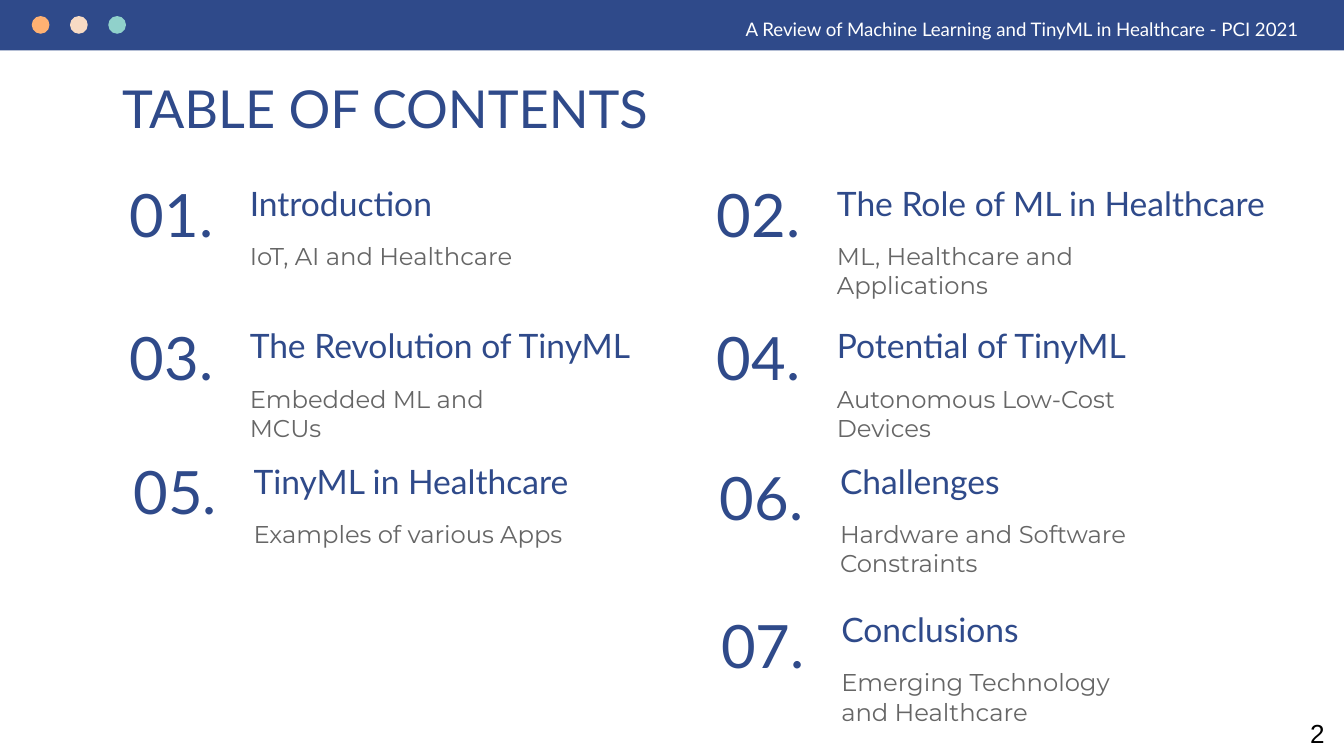
from pptx import Presentation
from pptx.dml.color import RGBColor
from pptx.enum.shapes import MSO_SHAPE
from pptx.enum.text import MSO_ANCHOR, PP_ALIGN
from pptx.util import Pt

NAVY, GREY, WHITE, BLACK = "2F4A8A", "666666", "FFFFFF", "000000"
TITLE = {"name": "Lato", "size": Pt(28), "color": NAVY}
NUMBER = {"name": "Lato", "size": Pt(32), "color": NAVY}
HEADING = {"name": "Lato", "size": Pt(18), "color": NAVY}
DETAIL = {"name": "Montserrat", "size": Pt(13), "color": GREY}
HEADER = {"name": "Lato", "size": Pt(10), "color": WHITE}
PAGE = {"name": "Arial", "size": Pt(14), "color": BLACK}
DOTS = ["FFB172", "F8DBC4", "90D1CB"]
ENTRIES = [
    (56.2, 90.7, 4.3, "Introduction", 210.2, "IoT, AI and Healthcare", 179.3),
    (370.8, 90.7, 4.3, "The Role of ML in Healthcare", 252.7, "ML, Healthcare and Applications", 179.3),
    (56.2, 167, 4.3, "The Revolution of TinyML", 222.5, "Embedded ML and MCUs", 179.3),
    (370.8, 167, 4.3, "Potential of TinyML", 214.6, "Autonomous Low-Cost Devices", 179.3),
    (58.3, 239.5, 4, "TinyML in Healthcare", 210.2, "Examples of various Apps", 187.2),
    (372.4, 239.5, 6.7, "Challenges", 214.6, "Hardware and Software Constraints", 179.3),
    (373.1, 319, 6.5, "Conclusions", 214.6, "Emerging Technology and Healthcare", 179.3),
]


def rgb(value):
    return RGBColor.from_string(value)


class ContentsSlide:
    """Draws the elements of a contents slide in one house style."""

    def __init__(self, prs):
        self.s = prs.slides.add_slide(prs.slide_layouts[6])

    def shape(self, kind, x, y, w, h, color):
        sp = self.s.shapes.add_shape(kind, Pt(x), Pt(y), Pt(w), Pt(h))
        sp.shadow.inherit = False
        sp.fill.solid()
        sp.fill.fore_color.rgb = rgb(color)
        sp.line.fill.background()

    def text(self, text, x, y, w, h, font, inset=7.2, anchor=MSO_ANCHOR.TOP, **paragraph):
        tf = self.s.shapes.add_textbox(Pt(x), Pt(y), Pt(w), Pt(h)).text_frame
        frame = {"word_wrap": True, "vertical_anchor": anchor,
                 "margin_top": Pt(inset), "margin_bottom": Pt(inset)}
        for name, value in frame.items():
            setattr(tf, name, value)
        p = tf.paragraphs[0]
        for name, value in paragraph.items():
            setattr(p, name, value)
        r = p.add_run()
        r.text = text
        for name, value in font.items():
            if name == "color":
                r.font.color.rgb = rgb(value)
            else:
                setattr(r.font, name, value)

    def entry(self, number, x, y, drop, heading, heading_w, detail, detail_w):
        text_x = x + 70.5
        self.text(f"{number:02}.", x, y + drop, 71.3, 46, NUMBER,
                  anchor=MSO_ANCHOR.BOTTOM, alignment=PP_ALIGN.CENTER)
        self.text(heading, text_x, y, heading_w, 36.7, HEADING)
        self.text(detail, text_x, y + 31.5, detail_w, 46, DETAIL, space_after=Pt(12))


def main():
    prs = Presentation()
    prs.slide_width, prs.slide_height = Pt(720), Pt(405)
    slide = ContentsSlide(prs)
    slide.shape(MSO_SHAPE.RECTANGLE, 0, 0, 720, 27, NAVY)
    for i, color in enumerate(DOTS):
        slide.shape(MSO_SHAPE.OVAL, 17 + 20.5 * i, 8.6, 9.5, 9.5, color)
    slide.text("A Review of Machine Learning and TinyML in Healthcare - PCI 2021",
               392.4, 5.8, 321.1, 19.4, HEADER, inset=3.6)
    slide.text("TABLE OF CONTENTS", 58.3, 33.8, 607.7, 36.7, TITLE)
    for number, entry in enumerate(ENTRIES, 1):
        slide.entry(number, *entry)
    slide.text("2", 694.8, 380.9, 25.2, 24.2, PAGE, inset=3.6)
    prs.save("out.pptx")


if __name__ == "__main__":
    main()
